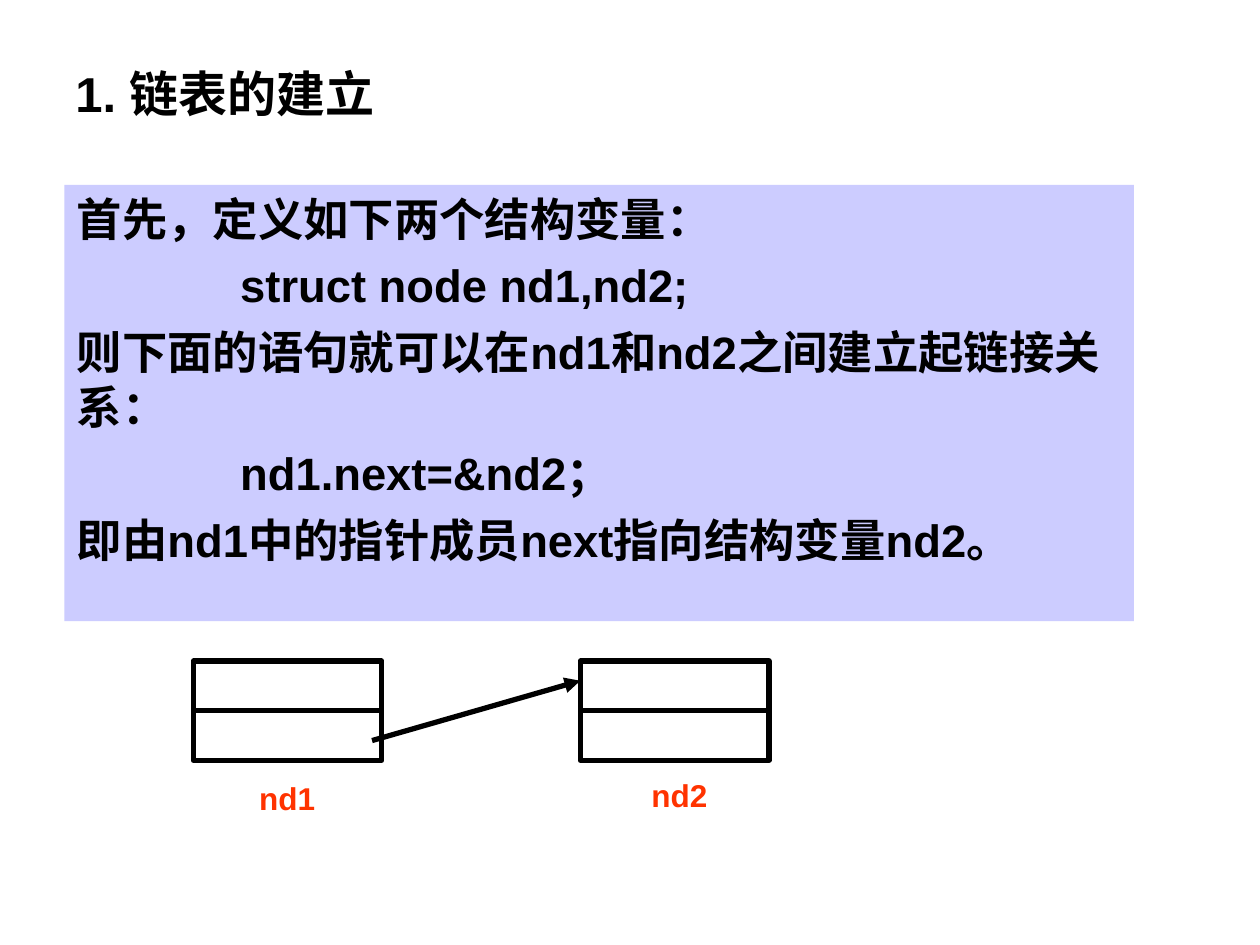
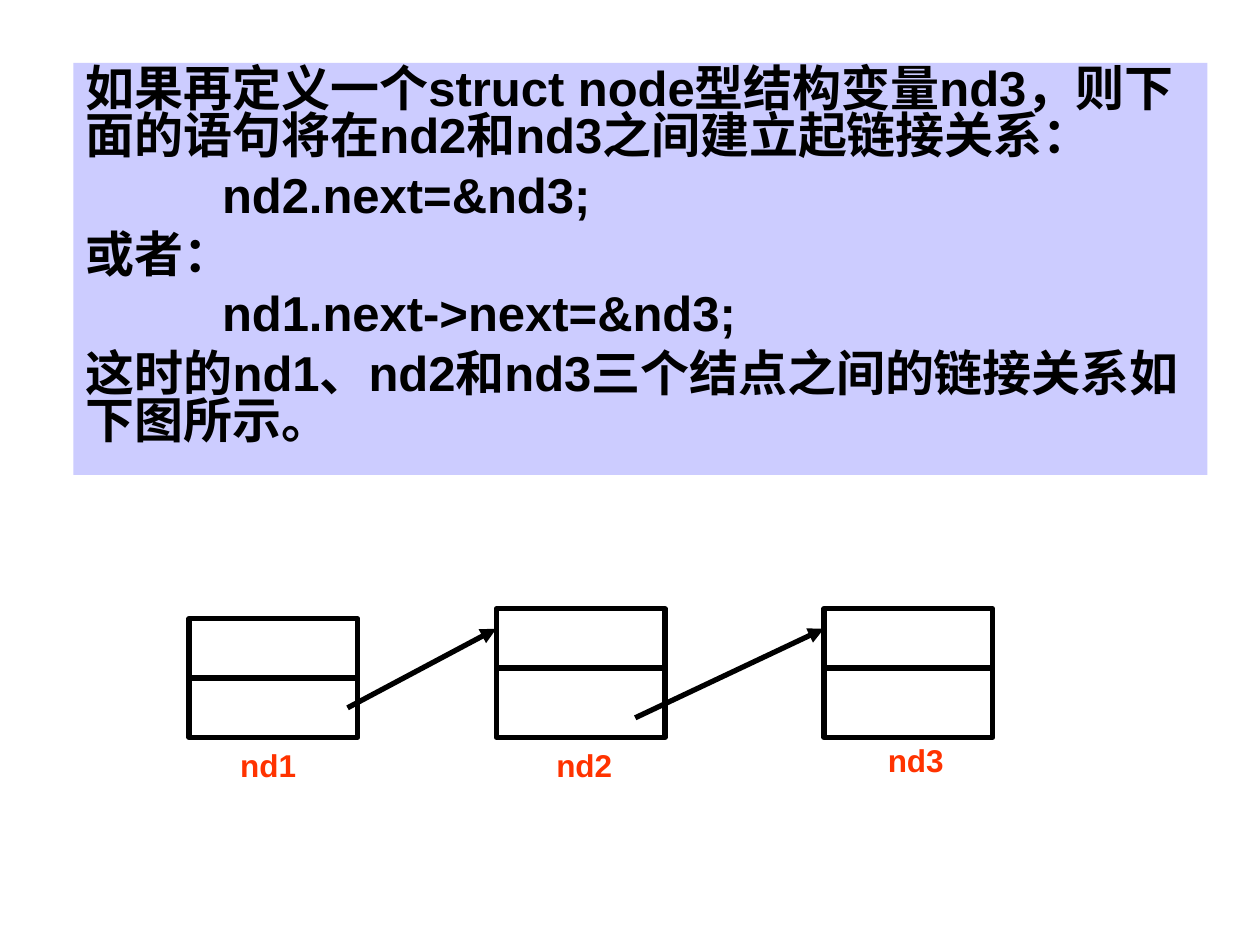
from pptx import Presentation
from pptx.dml.color import RGBColor
from pptx.enum.shapes import MSO_CONNECTOR, MSO_SHAPE
from pptx.enum.text import MSO_ANCHOR, PP_ALIGN
from pptx.oxml.ns import qn
from pptx.util import Pt
from lxml import etree

STRAIGHT = MSO_CONNECTOR.STRAIGHT
RECTANGLE = MSO_SHAPE.RECTANGLE
TOP, MIDDLE = MSO_ANCHOR.TOP, MSO_ANCHOR.MIDDLE
LEFT = PP_ALIGN.LEFT

BLACK = RGBColor(0x00, 0x00, 0x00)
WHITE = RGBColor(0xFF, 0xFF, 0xFF)
LAVENDER = RGBColor(0xCC, 0xCC, 0xFF)
ORANGE_RED = RGBColor(0xFF, 0x33, 0x00)

FONT = "Arial"
STROKE = 3
LEFT_SIDE, RIGHT_SIDE = 1, 3


def style_paragraph(para, size, color):
    para.alignment = LEFT
    para.font.name = FONT
    para.font.size = Pt(size)
    para.font.bold = True
    para.font.color.rgb = color


def add_rectangle(shapes, left, top, width, height, fill):
    box = shapes.add_shape(RECTANGLE, Pt(left), Pt(top), Pt(width), Pt(height))
    box.shadow.inherit = False
    box.fill.solid()
    box.fill.fore_color.rgb = fill
    return box


def add_text(shapes, text, left, top, width, height, size, color):
    box = shapes.add_textbox(Pt(left), Pt(top), Pt(width), Pt(height))
    box.text_frame.word_wrap = True
    para = box.text_frame.paragraphs[0]
    para.text = text
    style_paragraph(para, size, color)
    return box


def add_title(page, text):
    box = add_text(page.shapes, text, 36, 21.6, 648, 55.4, 28, BLACK)
    box.text_frame.vertical_anchor = MIDDLE
    box.text_frame.margin_top = Pt(10.6)


def add_panel(page, bounds, lines, size, code_indent, line_spacing):
    panel = add_rectangle(page.shapes, *bounds, LAVENDER)
    panel.line.fill.background()
    frame = panel.text_frame
    frame.word_wrap = True
    frame.vertical_anchor = TOP
    for index, (text, is_code) in enumerate(lines):
        para = frame.add_paragraph() if index else frame.paragraphs[0]
        para.text = text
        style_paragraph(para, size, BLACK)
        para.space_before = Pt(7)
        para.line_spacing = line_spacing
        if is_code:
            para._p.get_or_add_pPr().set("marL", str(Pt(code_indent)))


def add_line(shapes, x1, y1, x2, y2):
    line = shapes.add_connector(STRAIGHT, Pt(x1), Pt(y1), Pt(x2), Pt(y2))
    line.line.color.rgb = BLACK
    line.line.width = Pt(STROKE)
    etree.SubElement(line._element.spPr, qn("a:effectLst"))
    return line


def add_arrow(shapes, x1, y1, x2, y2):
    arrow = add_line(shapes, x1, y1, x2, y2)
    etree.SubElement(arrow.line._get_or_add_ln(), qn("a:tailEnd"), type="triangle")


def add_node(shapes, name, bounds, label_at, split=0.5):
    left, top, width, height = bounds
    box = add_rectangle(shapes, *bounds, WHITE)
    box.line.color.rgb = BLACK
    box.line.width = Pt(STROKE)
    middle = top + height * split
    divider = add_line(shapes, left, middle, left + width, middle)
    if split == 0.5:
        divider.begin_connect(box, LEFT_SIDE)
        divider.end_connect(box, RIGHT_SIDE)
    add_text(shapes, name, *label_at, 68, 28.8, 18, ORANGE_RED)


def build_two_nodes(page):
    add_title(page, "1. 链表的建立")
    lines = [
        ("首先，定义如下两个结构变量：", False),
        ("struct node nd1,nd2;", True),
        ("则下面的语句就可以在nd1和nd2之间建立起链接关系：", False),
        ("nd1.next=&nd2；", True),
        ("即由nd1中的指针成员next指向结构变量nd2。", False),
    ]
    add_panel(page, (36.8, 105.6, 611.2, 249.3), lines, 25.9, 93.4, 1)
    add_node(page.shapes, "nd1", (110.4, 377.8, 107.8, 56.7), (141, 441.4))
    add_node(page.shapes, "nd2", (331.6, 377.8, 107.8, 56.7), (365.2, 440.2))
    add_arrow(page.shapes, 212.6, 423.2, 331.6, 389)


def build_three_nodes(page):
    lines = [
        ("如果再定义一个struct node型结构变量nd3，则下面的语句将在nd2和nd3之间建立起链接关系：", False),
        ("nd2.next=&nd3;", True),
        ("或者：", False),
        ("nd1.next->next=&nd3;", True),
        ("这时的nd1、nd2和nd3三个结点之间的链接关系如下图所示。", False),
    ]
    add_panel(page, (42, 36, 648, 235.4), lines, 28, 77.8, 0.8)
    shapes = page.shapes.add_group_shape().shapes
    add_node(shapes, "nd1", (108, 353.6, 96.4, 67.8), (130.2, 422.6))
    add_node(shapes, "nd2", (283.6, 347.9, 96.4, 73.5), (310.8, 422.6), 0.46)
    add_node(shapes, "nd3", (470.8, 347.9, 96.4, 73.5), (500.2, 419.8), 0.46)
    add_arrow(shapes, 198.6, 404.5, 283.6, 359.3)
    add_arrow(shapes, 363, 410.2, 470.8, 359.3)


def main():
    deck = Presentation()
    deck.slide_width = Pt(720)
    deck.slide_height = Pt(540)
    blank = deck.slide_layouts[6]
    for build in (build_two_nodes, build_three_nodes):
        build(deck.slides.add_slide(blank))
    deck.save("out.pptx")


if __name__ == "__main__":
    main()
